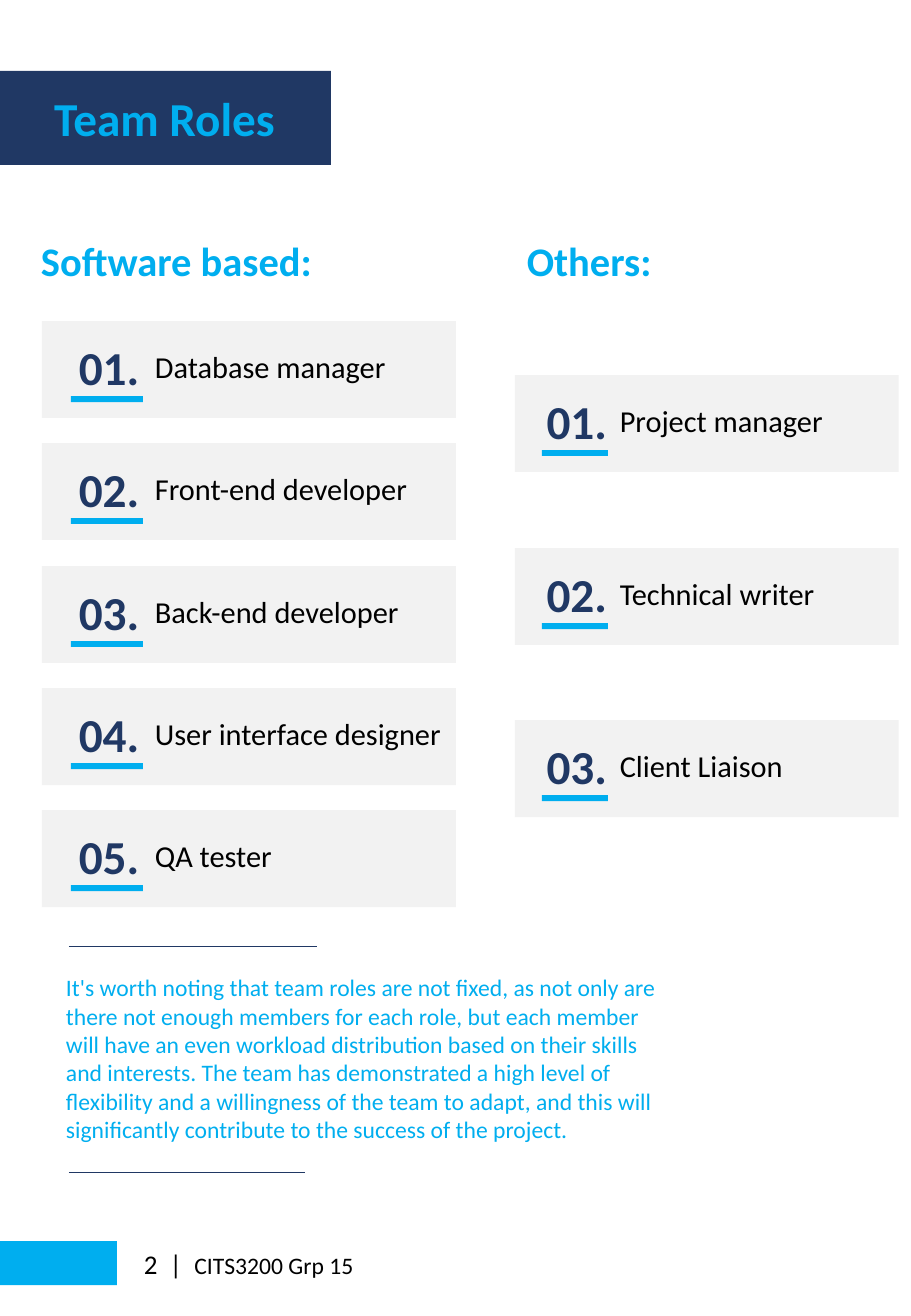
from pptx import Presentation
from pptx.dml.color import RGBColor
from pptx.enum.shapes import MSO_CONNECTOR as Connector, MSO_SHAPE as Preset
from pptx.enum.text import MSO_ANCHOR as Anchor, MSO_AUTO_SIZE as AutoSize, PP_ALIGN as Align
from pptx.oxml.ns import qn
from pptx.util import Emu, Inches, Pt
from lxml.etree import SubElement

NAVY = RGBColor(0x20, 0x38, 0x64)
CYAN = RGBColor(0x00, 0xAE, 0xEF)
PALE = RGBColor(0xF2, 0xF2, 0xF2)
BLACK = RGBColor(0, 0, 0)
FONT = "Calibri"
PIXELS_PER_INCH = 121.5


def px(*lengths):
    return [Emu(round(length * Inches(1) / PIXELS_PER_INCH)) for length in lengths]


def write(para, text, size=18, color=BLACK, bold=False, align=Align.LEFT):
    para.alignment = align
    span = para.add_run()
    span.text = text
    span.font.name = FONT
    span.font.size = Pt(size)
    span.font.bold = bold
    span.font.color.rgb = color


class Page:
    """Draws styled elements on one slide, measured in pixels."""

    def __init__(self, deck):
        self.slide = deck.slides.add_slide(deck.slide_layouts[5])
        self.shapes = self.slide.shapes

    def block(self, x, y, width, height, color):
        shape = self.shapes.add_shape(Preset.RECTANGLE, *px(x, y, width, height))
        shape.shadow.inherit = False
        shape.fill.solid()
        shape.fill.fore_color.rgb = color
        shape.line.fill.background()

    def prepare(self, box):
        frame = box.text_frame
        frame.word_wrap = True
        frame.auto_size = AutoSize.NONE
        frame.vertical_anchor = Anchor.TOP
        return frame.paragraphs[0]

    def text(self, x, y, width, height, words, **style):
        box = self.shapes.add_textbox(*px(x, y, width, height))
        para = self.prepare(box)
        write(para, words, **style)
        return para

    def title(self, x, y, width, height, words, **style):
        box = self.shapes.title
        box.left, box.top, box.width, box.height = px(x, y, width, height)
        write(self.prepare(box), words, **style)
        # Bring the title in front of its band
        box.element.getparent().append(box.element)

    def rule(self, x, y, width):
        line = self.shapes.add_connector(Connector.STRAIGHT, *px(x, y, x + width, y))
        line.line.color.rgb = NAVY
        line.line.width = Pt(0.5)
        SubElement(line.element.spPr, qn("a:effectLst"))

    def role_card(self, x, y, width, number, role, number_width, bar_inset, bar_width, label_width):
        self.block(x, y, width, 97, PALE)
        self.text(x, y + 11, number_width, 69, f"{number:02}.",
                  size=28, color=NAVY, bold=True, align=Align.CENTER)
        self.block(x + bar_inset, y + 75, bar_width, 6, CYAN)
        self.text(x + bar_inset + bar_width, y + 21, label_width, 49, role)

    def role_column(self, roles, x, top, pitch, **card):
        for index, role in enumerate(roles):
            self.role_card(x, round(top + index * pitch), number=index + 1, role=role, **card)


deck = Presentation()
deck.slide_width, deck.slide_height = Inches(7.5), Inches(10.83)
page = Page(deck)

# Title band
page.block(0, 71, 331, 94, NAVY)
page.title(42, 83, 281, 69, "Team Roles", size=28, color=CYAN, bold=True)

# Column headings
for x, heading in [(29, "Software based:"), (515, "Others:")]:
    page.text(x, 230, 317, 61, heading, size=24, color=CYAN, bold=True)

# Role cards
software_roles = ["Database manager", "Front-end developer", "Back-end developer",
                  "User interface designer", "QA tester"]
other_roles = ["Project manager", "Technical writer", "Client Liaison"]
page.role_column(software_roles, x=42, top=321, pitch=122.25, width=414,
                 number_width=134, bar_inset=29, bar_width=72, label_width=341)
page.role_column(other_roles, x=515, top=375, pitch=172.5, width=384,
                 number_width=124, bar_inset=27, bar_width=66, label_width=260)

# Note between two rules
note = ("It's worth noting that team roles are not fixed, as not only are there not enough "
        "members for each role, but each member will have an even workload distribution based "
        "on their skills and interests. The team has demonstrated a high level of flexibility "
        "and a willingness of the team to adapt, and this will significantly contribute to the "
        "success of the project.")
page.rule(69, 946, 248)
page.text(54, 967, 620, 184, note, size=14, color=CYAN)
page.rule(69, 1172, 236)

# Footer
page.block(0, 1241, 117, 44, CYAN)
footer = page.text(132, 1241, 323, 45, "2  |  ", size=16)
write(footer, "CITS3200 Grp 15", size=14)

deck.save("out.pptx")
